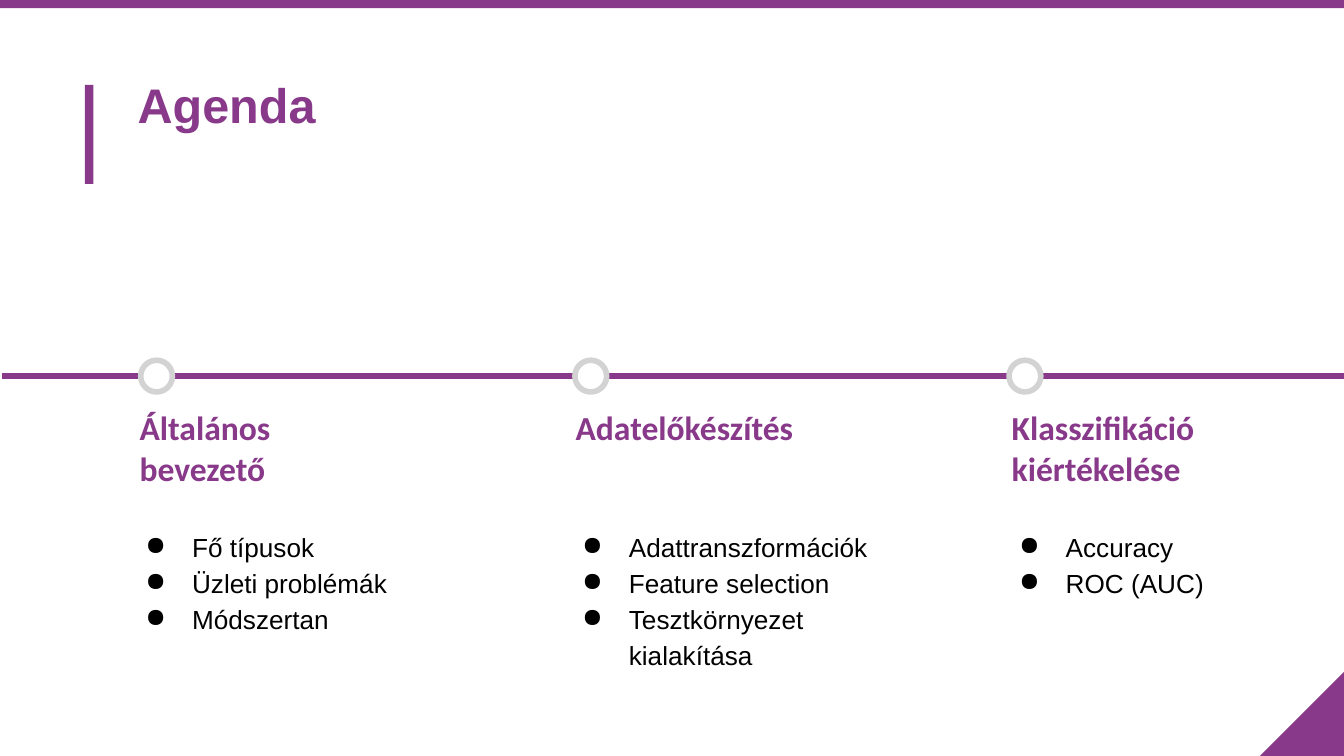
"""Build an agenda slide with a three-step timeline."""
from lxml import etree
from pptx import Presentation
from pptx.dml.color import RGBColor
from pptx.enum.shapes import MSO_CONNECTOR, MSO_SHAPE
from pptx.enum.text import MSO_ANCHOR, MSO_AUTO_SIZE, PP_ALIGN
from pptx.oxml.ns import qn
from pptx.util import Pt

PURPLE = RGBColor(0x88, 0x39, 0x8A)
GREY = RGBColor(0xD3, 0xD3, 0xD3)
WHITE = RGBColor(0xFF, 0xFF, 0xFF)
BLACK = RGBColor(0, 0, 0)
RECT = MSO_SHAPE.RECTANGLE
OVAL = MSO_SHAPE.OVAL
CORNER = MSO_SHAPE.RIGHT_TRIANGLE
LINE = MSO_CONNECTOR.STRAIGHT
TOP = MSO_ANCHOR.TOP
FIXED = MSO_AUTO_SIZE.NONE
LEFT = PP_ALIGN.LEFT

STEPS = [
    ("Általános bevezető", 93, ["Fő típusok", "Üzleti problémák", "Módszertan"]),
    ("Adatelőkészítés", 156,
     ["Adattranszformációk", "Feature selection", "Tesztkörnyezet kialakítása"]),
    ("Klasszifikáció kiértékelése", 143, ["Accuracy", "ROC (AUC)"]),
]


def write(frame, *lines, font="Arial", size=14, color=BLACK, bold=False, bullet=None):
    """Fill a text frame with one paragraph per line."""
    frame.word_wrap = True
    frame.auto_size = FIXED
    frame.vertical_anchor = TOP
    frame.margin_left = frame.margin_right = Pt(7.2)
    frame.margin_top = frame.margin_bottom = Pt(7.2)
    for i, text in enumerate(lines):
        para = frame.add_paragraph() if i else frame.paragraphs[0]
        para.alignment = LEFT
        run = para.add_run()
        run.text = text
        run.font.name = font
        run.font.size = Pt(size)
        run.font.bold = bold
        run.font.color.rgb = color
        if bullet:
            para.line_spacing = 1.15
            props = para._p.get_or_add_pPr()
            props.set("marL", str(Pt(36)))
            props.set("indent", str(Pt(-25)))
            etree.SubElement(props, qn("a:buChar")).set("char", bullet)


class Deck:
    """Hold the current slide and its accent style."""

    def __init__(self, slide, accent=PURPLE, weight=3):
        self.slide = slide
        self.accent = accent
        self.weight = weight

    def title(self, text, *box):
        """Place and fill the title."""
        shape = self.slide.shapes.title
        shape.left, shape.top, shape.width, shape.height = map(Pt, box)
        write(shape.text_frame, text, size=26, color=self.accent, bold=True)

    def shape(self, kind, *box, fill=None, edge=None, turn=0):
        """Draw a preset shape."""
        shape = self.slide.shapes.add_shape(kind, *map(Pt, box))
        shape.shadow.inherit = False
        shape.rotation = turn
        shape.fill.solid()
        shape.fill.fore_color.rgb = fill or self.accent
        if edge:
            shape.line.color.rgb = edge
            shape.line.width = Pt(self.weight)
        else:
            shape.line.fill.background()

    def line(self, *ends):
        """Draw a straight line."""
        line = self.slide.shapes.add_connector(LINE, *map(Pt, ends))
        line.line.color.rgb = self.accent
        line.line.width = Pt(self.weight)
        etree.SubElement(line._element.spPr, qn("a:effectLst"))

    def text(self, box, *lines, **style):
        """Add a text box."""
        shape = self.slide.shapes.add_textbox(*map(Pt, box))
        write(shape.text_frame, *lines, **style)


def main():
    """Compose and save the slide."""
    show = Presentation()
    show.slide_width, show.slide_height = Pt(720), Pt(405)
    deck = Deck(show.slides.add_slide(show.slide_layouts[5]))
    deck.shape(CORNER, 675, 360, 45, 45, turn=270)
    deck.shape(RECT, 45.5, 45.5, 4.5, 53)
    deck.shape(RECT, 0, 0, 720, 4.4)
    deck.title("Agenda", 66.5, 33, 254, 68)
    deck.line(1, 201.5, 720, 201.5)
    for i, (head, width, items) in enumerate(STEPS):
        deck.shape(OVAL, 75.4 + 232.6 * i, 193, 17, 17, fill=WHITE, edge=GREY)
        deck.text((67.7 + 233.6 * i, 211, width, 32), head,
                  font="Calibri", size=18, color=PURPLE, bold=True)
        deck.text((59.8 + 234 * i, 275, 179, 104 if i else 77), *items, bullet="●")
    show.save("out.pptx")


if __name__ == "__main__":
    main()
